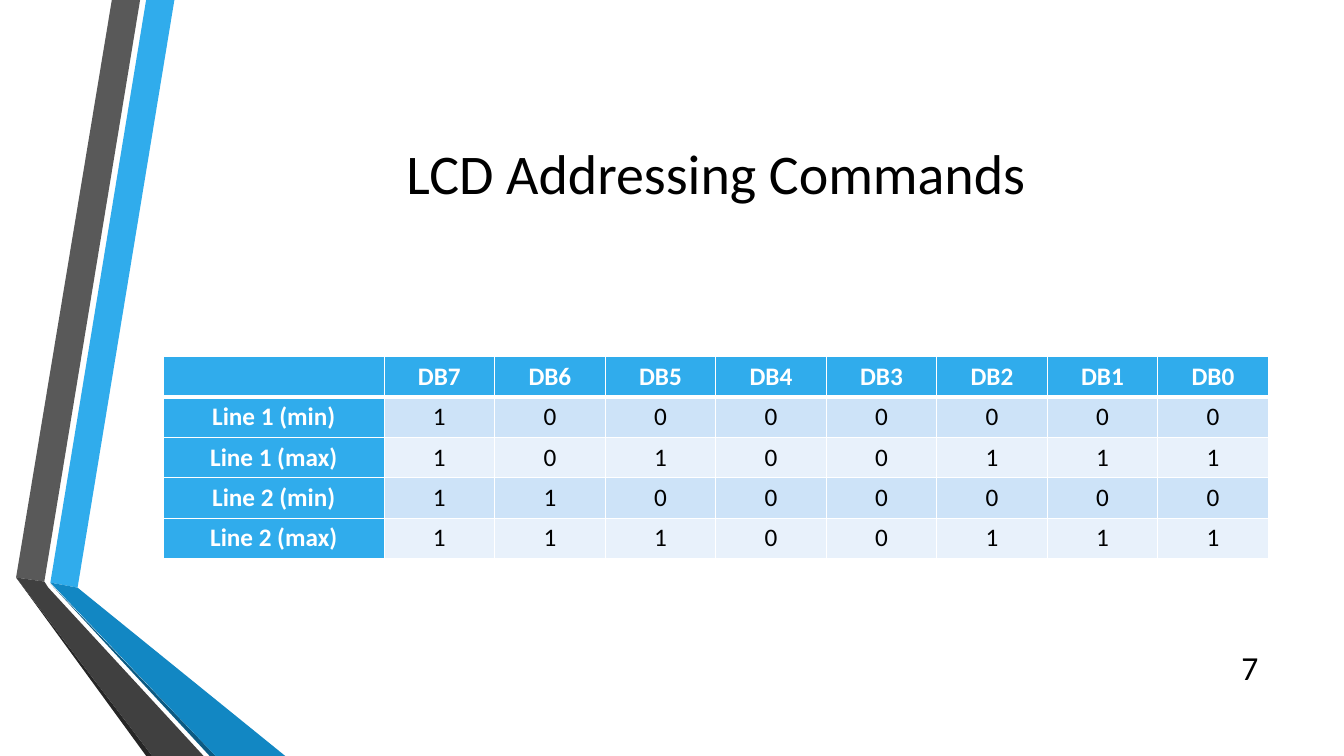
from lxml import etree
from pptx import Presentation
from pptx.dml.color import RGBColor
from pptx.enum import text
from pptx.oxml import ns
from pptx.util import Inches, Pt

FONT = "Calibri"
BLACK = RGBColor(0x00, 0x00, 0x00)
WHITE = RGBColor(0xFF, 0xFF, 0xFF)
BLUE = RGBColor(0x30, 0xAC, 0xEC)
MID_BLUE = RGBColor(0x12, 0x87, 0xC3)
DARK_BLUE = RGBColor(0x0C, 0x5A, 0x82)
GRAY = RGBColor(0x59, 0x59, 0x59)
DARK_GRAY = RGBColor(0x40, 0x40, 0x40)
CHARCOAL = RGBColor(0x26, 0x26, 0x26)
BAND_DARK = RGBColor(0xCD, 0xE3, 0xF8)
BAND_LIGHT = RGBColor(0xE8, 0xF1, 0xFB)


def add_run(paragraph, wording, size, color, alignment, bold=False):
    paragraph.alignment = alignment
    run = paragraph.add_run()
    run.text = wording
    run.font.name = FONT
    run.font.size = Pt(size)
    run.font.bold = bold
    run.font.color.rgb = color


def add_border(cell, side, points):
    line = etree.SubElement(cell._tc.get_or_add_tcPr(), ns.qn(f"a:ln{side}"), w=str(Pt(points)))
    fill = etree.SubElement(line, ns.qn("a:solidFill"))
    etree.SubElement(fill, ns.qn("a:srgbClr"), val=str(WHITE))


presentation = Presentation()
presentation.slide_width = Inches(13.33)
presentation.slide_height = Inches(7.5)
slide = presentation.slides.add_slide(presentation.slide_layouts[6])

# Folded ribbons along the left edge
ribbons = [
    (BLUE, [(0.5, 5.78), (0.77, 5.83), (1.73, 0), (1.45, 0)]),
    (GRAY, [(1.39, 0), (1.11, 0), (0.16, 5.73), (0.44, 5.77)]),
    (CHARCOAL, [(0.16, 5.73), (1.45, 7.5), (1.51, 7.5)]),
    (DARK_BLUE, [(0.5, 5.79), (2.08, 7.5), (2.14, 7.5)]),
    (MID_BLUE, [(0.5, 5.78), (2.14, 7.5), (2.83, 7.5), (0.77, 5.83)]),
    (DARK_GRAY, [(2.02, 7.5), (0.48, 5.83), (0.44, 5.77), (0.16, 5.73), (1.51, 7.5)]),
]
for color, points in ribbons:
    corners = [(Inches(x), Inches(y)) for x, y in points]
    builder = slide.shapes.build_freeform(*corners[0])
    builder.add_line_segments(corners[1:], close=True)
    ribbon = builder.convert_to_shape()
    ribbon.shadow.inherit = False
    ribbon.fill.solid()
    ribbon.fill.fore_color.rgb = color
    ribbon.line.fill.background()

# Title and slide number
captions = [
    ("LCD Addressing Commands", 40, text.PP_ALIGN.CENTER, (1.62, 0.75, 10.96, 1.92)),
    ("7", 24, text.PP_ALIGN.RIGHT, (11.98, 6.42, 0.6, 0.4)),
]
for wording, size, alignment, box in captions:
    frame = slide.shapes.add_textbox(*map(Inches, box)).text_frame
    frame.word_wrap = True
    frame.vertical_anchor = text.MSO_ANCHOR.MIDDLE
    add_run(frame.paragraphs[0], wording, size, BLACK, alignment)

# Table of address bits
rows = [[""] + [f"DB{bit}" for bit in range(7, -1, -1)]]
for label, bits in [
    ("Line 1 (min)", "10000000"),
    ("Line 1 (max)", "10100111"),
    ("Line 2 (min)", "11000000"),
    ("Line 2 (max)", "11100111"),
]:
    rows.append([label, *bits])

table = slide.shapes.add_table(
    len(rows), len(rows[0]), Inches(1.62), Inches(3.54), Inches(10.96), Inches(2)
).table
for index, column in enumerate(table.columns):
    column.width = Inches(2.19 if index == 0 else 8.77 / 8)

for row_index, row in enumerate(rows):
    table.rows[row_index].height = Inches(0.4)
    for column_index, wording in enumerate(row):
        cell = table.cell(row_index, column_index)
        is_header = row_index == 0 or column_index == 0
        cell.margin_left = cell.margin_right = Inches(0.07)
        cell.margin_top = cell.margin_bottom = 0
        for side in "LRTB":
            under_header = (row_index, side) in [(0, "B"), (1, "T")]
            add_border(cell, side, 3 if under_header else 1)
        cell.fill.solid()
        band = BAND_DARK if row_index % 2 else BAND_LIGHT
        cell.fill.fore_color.rgb = BLUE if is_header else band
        if wording:
            paragraph = cell.text_frame.paragraphs[0]
            paragraph.line_spacing = 1.15
            add_run(paragraph, wording, 18, WHITE if is_header else BLACK,
                    text.PP_ALIGN.CENTER, is_header)

presentation.save("out.pptx")
